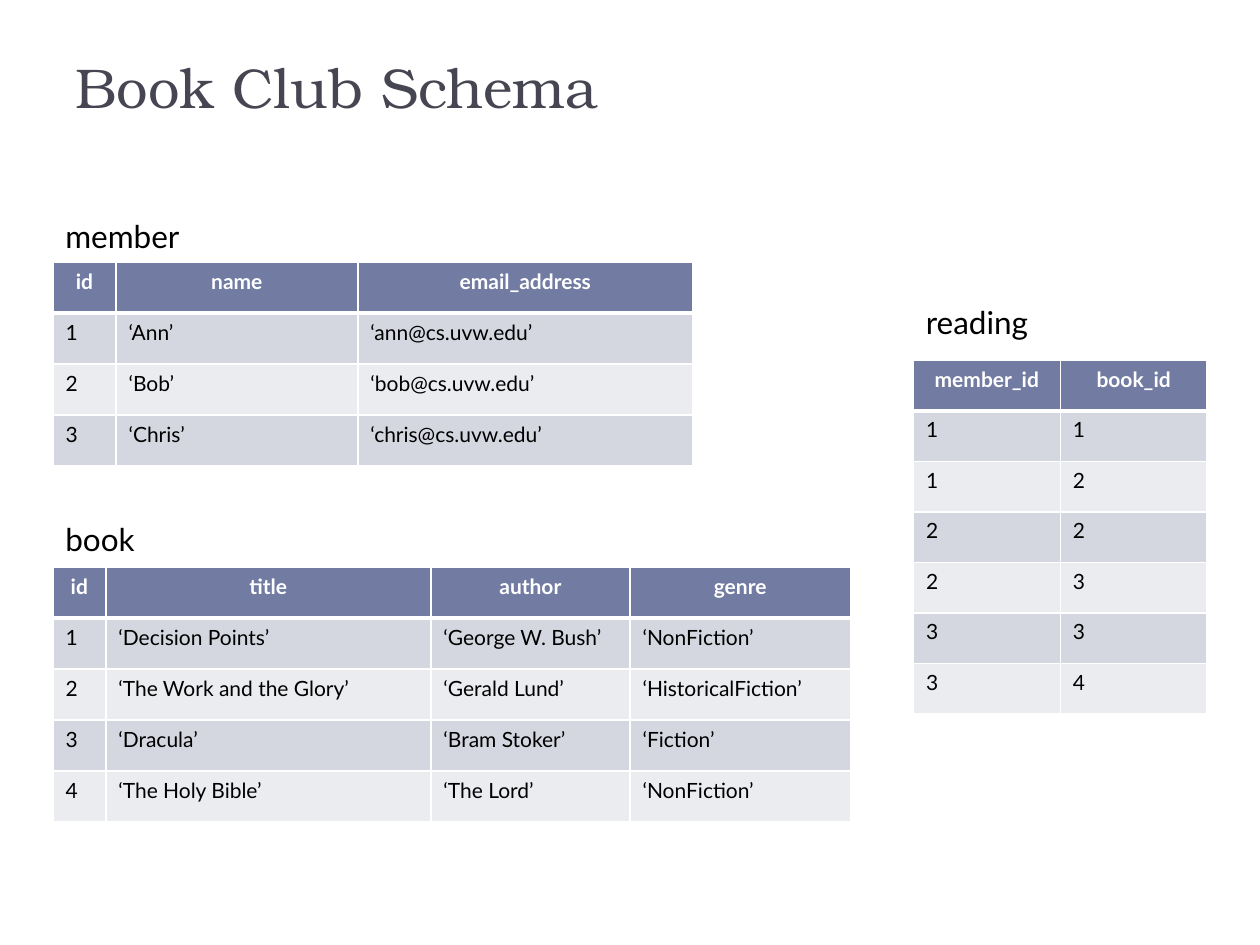
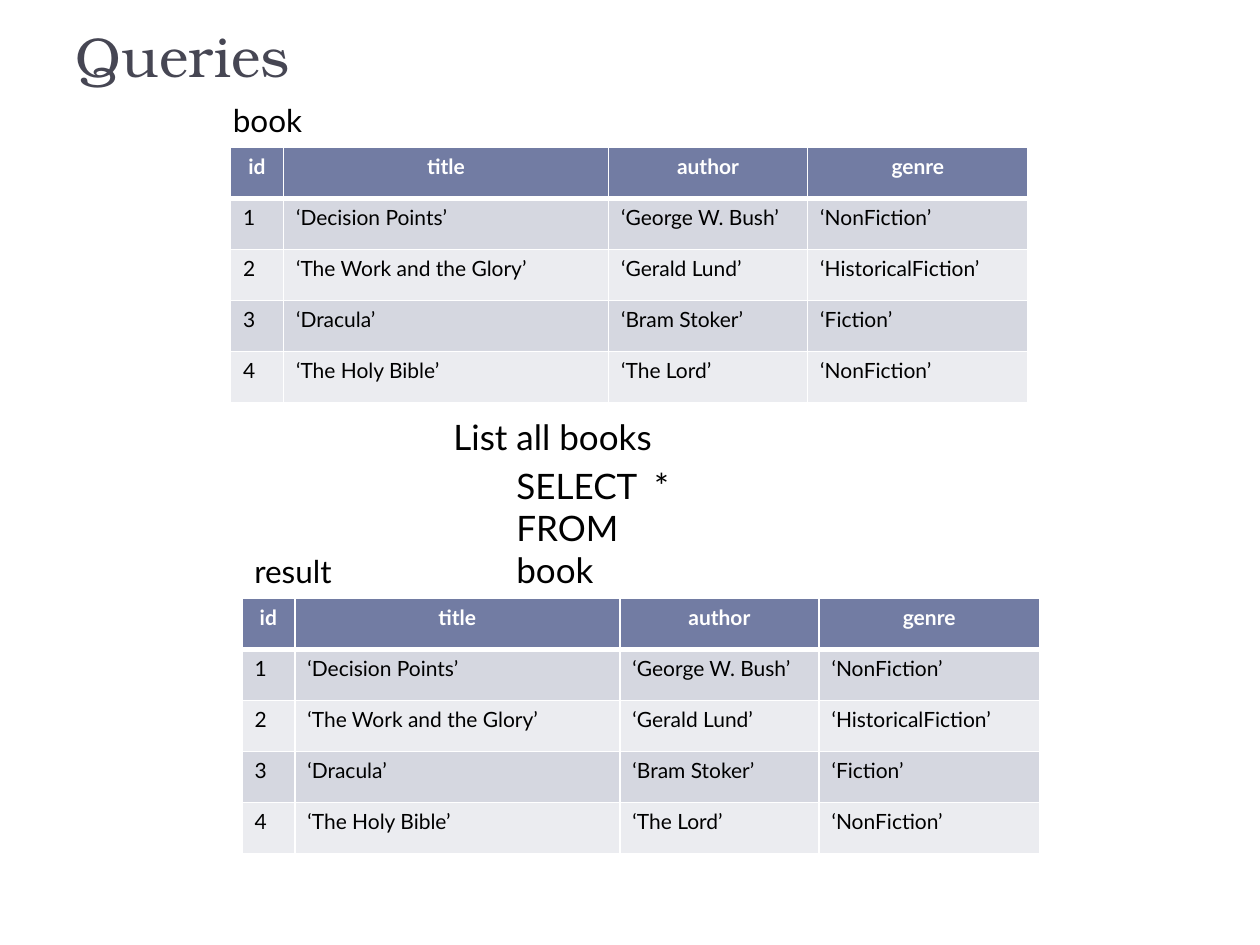
from dataclasses import dataclass

from lxml.etree import SubElement
from pptx import Presentation
from pptx.dml.color import RGBColor as RGB
from pptx.enum.text import MSO_ANCHOR as Anchor, MSO_AUTO_SIZE as AutoSize, PP_ALIGN as Align
from pptx.oxml.ns import qn
from pptx.util import Inches, Pt


@dataclass(frozen=True)
class Theme:
    title_font: str = "TeX Gyre Bonum"
    body_font: str = "Lato"
    title_color: str = "464653"
    text: str = "000000"
    header_text: str = "FFFFFF"
    header_fill: str = "727CA3"
    bands: tuple = ("D5D7E0", "EBECF0")
    border: str = "FFFFFF"
    title_size: int = 32
    query_size: int = 20
    label_size: int = 18
    cell_size: int = 12
    thin: int = 1
    thick: int = 3


T = Theme()

# Content: relations as column widths, row height, header and records
MEMBER = dict(
    widths=(0.5, 1.92, 2.66), row_height=0.405,
    header=("id", "name", "email_address"),
    records=[
        ("1", "‘Ann’", "‘ann@cs.uvw.edu’"),
        ("2", "‘Bob’", "‘bob@cs.uvw.edu’"),
        ("3", "‘Chris’", "‘chris@cs.uvw.edu’"),
    ])
BOOK = dict(
    widths=(0.42, 2.58, 1.58, 1.75), row_height=0.405,
    header=("id", "title", "author", "genre"),
    records=[
        ("1", "‘Decision Points’", "‘George W. Bush’", "‘NonFiction’"),
        ("2", "‘The Work and the Glory’", "‘Gerald Lund’", "‘HistoricalFiction’"),
        ("3", "‘Dracula’", "‘Bram Stoker’", "‘Fiction’"),
        ("4", "‘The Holy Bible’", "‘The Lord’", "‘NonFiction’"),
    ])
READING = dict(
    widths=(1.165, 1.165), row_height=0.401,
    header=("member_id", "book_id"),
    records=[("1", "1"), ("1", "2"), ("2", "2"), ("2", "3"), ("3", "3"), ("3", "4")])

# Slides: title with its box top and height, tables at (left, top),
# labels and queries at (left, top, width, height)
SLIDES = [
    dict(
        title=("Book Club Schema", -0.08, 1.08),
        tables=[(MEMBER, 0.42, 2.08), (BOOK, 0.42, 4.5), (READING, 7.25, 2.86)],
        labels=[
            ("member", 0.42, 1.67, 1.13, 0.4),
            ("book", 0.42, 4.08, 0.76, 0.4),
            ("reading", 7.25, 2.36, 1.06, 0.4),
        ],
        queries=[]),
    dict(
        title=("Queries", -0.5, 1.25),
        tables=[(BOOK, 1.83, 1.17), (BOOK, 1.92, 4.75)],
        labels=[
            ("book", 1.75, 0.75, 0.76, 0.4),
            ("result", 1.92, 4.33, 0.84, 0.4),
        ],
        queries=[
            ("List all books", 3.5, 3.25, 1.92, 0.44, False),
            ("SELECT  *\nFROM book", 4, 3.64, 1.6, 0.77, True),
        ]),
]


def style(tf, size, color, font=T.body_font, bold=False, align=Align.LEFT):
    for p in tf.paragraphs:
        p.alignment = align
        for r in p.runs:
            r.font.name, r.font.size, r.font.bold = font, Pt(size), bold
            r.font.color.rgb = RGB.from_string(color)


def add_text(s, text, left, top, width, height, size, wrap=False):
    tf = s.shapes.add_textbox(*map(Inches, (left, top, width, height))).text_frame
    tf.text = text
    tf.word_wrap = wrap
    tf.auto_size = AutoSize.SHAPE_TO_FIT_TEXT
    style(tf, size, T.text)


def add_title(s, text, top, height):
    tf = s.shapes.add_textbox(*map(Inches, (0.5, top, 9, height))).text_frame
    tf.text = text
    tf.word_wrap = True
    tf.vertical_anchor = Anchor.BOTTOM
    style(tf, T.title_size, T.title_color, T.title_font)


def set_borders(cell, top, bottom):
    tc_pr = cell._tc.get_or_add_tcPr()
    for side, width in (("L", T.thin), ("R", T.thin), ("T", top), ("B", bottom)):
        ln = SubElement(tc_pr, qn(f"a:ln{side}"), w=str(Pt(width)))
        fill = SubElement(ln, qn("a:solidFill"))
        SubElement(fill, qn("a:srgbClr"), val=T.border)


def add_relation(s, relation, left, top):
    widths, row_height = relation["widths"], relation["row_height"]
    rows = [relation["header"], *relation["records"]]
    table = s.shapes.add_table(
        len(rows), len(widths), Inches(left), Inches(top),
        Inches(sum(widths)), Inches(row_height * len(rows))).table
    for column, width in zip(table.columns, widths):
        column.width = Inches(width)
    for i, values in enumerate(rows):
        table.rows[i].height = Inches(row_height)
        is_header = i == 0
        fill = T.header_fill if is_header else T.bands[(i - 1) % 2]
        for j, value in enumerate(values):
            cell = table.cell(i, j)
            cell.text = value
            # The header is set off by a thicker rule
            set_borders(cell, T.thick if i == 1 else T.thin,
                        T.thick if is_header else T.thin)
            cell.fill.solid()
            cell.fill.fore_color.rgb = RGB.from_string(fill)
            style(cell.text_frame, T.cell_size,
                  T.header_text if is_header else T.text, bold=is_header,
                  align=Align.CENTER if is_header else Align.LEFT)


prs = Presentation()
prs.slide_width, prs.slide_height = Inches(10), Inches(7.5)
for content in SLIDES:
    s = prs.slides.add_slide(prs.slide_layouts[6])
    add_title(s, *content["title"])
    for relation, left, top in content["tables"]:
        add_relation(s, relation, left, top)
    for label in content["labels"]:
        add_text(s, *label, T.label_size)
    for *query, wrap in content["queries"]:
        add_text(s, *query, T.query_size, wrap)
prs.save("out.pptx")
